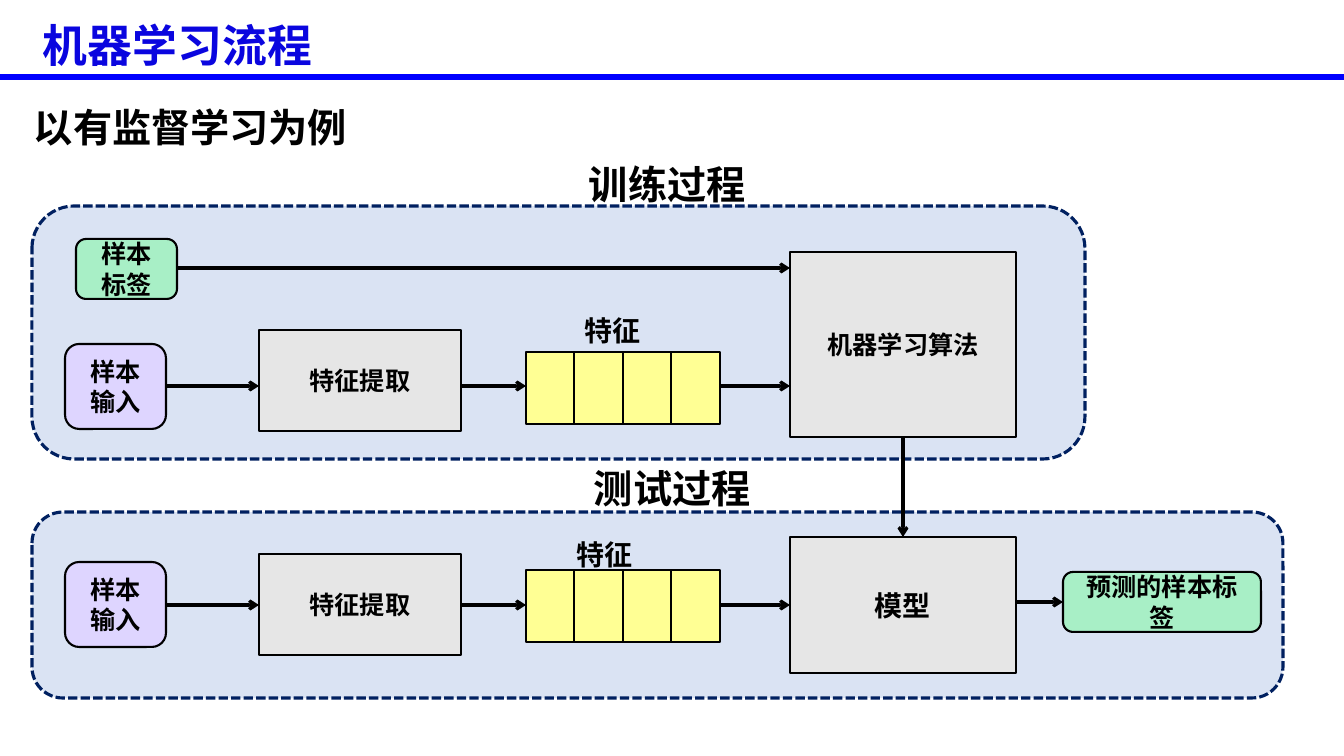
import pptx
import pptx.util
from pptx.dml.color import RGBColor
from pptx.enum.dml import MSO_LINE
from pptx.enum.shapes import MSO_CONNECTOR, MSO_SHAPE
from pptx.enum.text import MSO_ANCHOR, PP_ALIGN
from pptx.oxml.ns import qn
from lxml import etree

PX_PER_INCH = 100.8

BLACK = RGBColor(0x00, 0x00, 0x00)
TITLE_BLUE = RGBColor(0x0A, 0x05, 0xDF)
RULE_BLUE = RGBColor(0x00, 0x00, 0xFF)
NAVY = RGBColor(0x00, 0x20, 0x60)
PANEL_BLUE = RGBColor(0xDA, 0xE3, 0xF3)
GREEN = RGBColor(0xA8, 0xEF, 0xC6)
PURPLE = RGBColor(0xDE, 0xD5, 0xFF)
GREY = RGBColor(0xE6, 0xE6, 0xE6)
YELLOW = RGBColor(0xFF, 0xFF, 0x94)

BODY_FONT = "Calibri"
SUBTITLE_FONT = "Noto Sans CJK SC"


def px(length):
    return pptx.util.Emu(round(length * 914400 / PX_PER_INCH))


def write(frame, text, size, color=BLACK, font=BODY_FONT, align=PP_ALIGN.LEFT):
    frame.text = text
    frame.vertical_anchor = MSO_ANCHOR.MIDDLE
    paragraph = frame.paragraphs[0]
    paragraph.alignment = align
    run = paragraph.runs[0]
    run.font.name = font
    run.font.size = pptx.util.Pt(size)
    run.font.bold = True
    run.font.color.rgb = color
    # Chinese text takes the East Asian typeface
    latin = run.font._element.find(qn("a:latin"))
    east_asian = etree.Element(qn("a:ea"), typeface=font)
    latin.addnext(east_asian)


def add_label(slide, box, text, size, wrap=False, **style):
    label = slide.shapes.add_textbox(*map(px, box))
    label.text_frame.word_wrap = wrap
    write(label.text_frame, text, size, **style)


def add_box(slide, kind, box, fill, text="", size=18, line=BLACK, width=1.5):
    block = slide.shapes.add_shape(kind, *map(px, box))
    block.shadow.inherit = False
    block.fill.solid()
    block.fill.fore_color.rgb = fill
    block.line.color.rgb = line
    block.line.width = pptx.util.Pt(width)
    if text:
        block.text_frame.word_wrap = True
        write(block.text_frame, text, size, align=PP_ALIGN.CENTER)
    return block


def add_panel(slide, box):
    panel = add_box(slide, MSO_SHAPE.ROUNDED_RECTANGLE, box, PANEL_BLUE,
                    line=NAVY, width=2.25)
    panel.line.dash_style = MSO_LINE.SQUARE_DOT


def add_features(slide, left, top, width=194, height=72, count=4):
    edges = [left + width * i // count for i in range(count + 1)]
    for start, end in zip(edges, edges[1:]):
        add_box(slide, MSO_SHAPE.RECTANGLE,
                (start, top, end - start, height), YELLOW)


def add_line(slide, ends, color=BLACK, width=2.25, arrow=True):
    line = slide.shapes.add_connector(MSO_CONNECTOR.STRAIGHT, *map(px, ends))
    line.line.color.rgb = color
    line.line.width = pptx.util.Pt(width)
    if arrow:
        etree.SubElement(line.line._get_or_add_ln(), qn("a:tailEnd"), type="arrow")
    etree.SubElement(line._element.spPr, qn("a:effectLst"))


def main():
    deck = pptx.Presentation()
    deck.slide_width = px(1344)
    deck.slide_height = px(756)
    slide = deck.slides.add_slide(deck.slide_layouts[6])
    rounded, square = MSO_SHAPE.ROUNDED_RECTANGLE, MSO_SHAPE.RECTANGLE

    # Heading
    add_label(slide, (33, 12, 840, 65), "机器学习流程", 32,
              wrap=True, color=TITLE_BLUE)
    add_line(slide, (0, 77, 1344, 77), RULE_BLUE, 4, arrow=False)
    add_label(slide, (24, 98, 339, 57), "以有监督学习为例", 28,
              font=SUBTITLE_FONT)

    # Training and test panels
    add_panel(slide, (32, 512, 1251, 186))
    add_panel(slide, (32, 206, 1053, 253))
    add_label(slide, (579, 155, 179, 57), "训练过程", 28)
    add_label(slide, (584, 459, 179, 57), "测试过程", 28)

    # Steps shared by both: input, extraction, features
    # (input top, extraction top, features top, caption left, caption top, arrow y)
    rows = [(344, 330, 352, 575, 308, 386),
            (562, 554, 570, 567, 532, 605)]
    for input_y, extract_y, features_y, caption_x, caption_y, flow_y in rows:
        add_box(slide, rounded, (65, input_y, 101, 85), PURPLE, "样本输入")
        add_box(slide, square, (259, extract_y, 202, 101), GREY, "特征提取")
        add_features(slide, 526, features_y)
        add_label(slide, (caption_x, caption_y, 78, 44), "特征", 20)
        for start, end in [(166, 259), (461, 526), (720, 790)]:
            add_line(slide, (start, flow_y, end, flow_y))

    # Training: sample labels and algorithm
    add_box(slide, rounded, (76, 239, 101, 60), GREEN, "样本标签")
    add_box(slide, square, (790, 252, 226, 185), GREY, "机器学习算法")
    add_line(slide, (177, 268, 790, 268))

    # Test: model and predicted label
    add_box(slide, square, (790, 537, 226, 136), GREY, "模型", size=20)
    add_box(slide, rounded, (1063, 572, 198, 60), GREEN, "预测的样本标签")
    add_line(slide, (903, 437, 903, 537))
    add_line(slide, (1016, 602, 1063, 602))

    deck.save("out.pptx")


if __name__ == "__main__":
    main()
